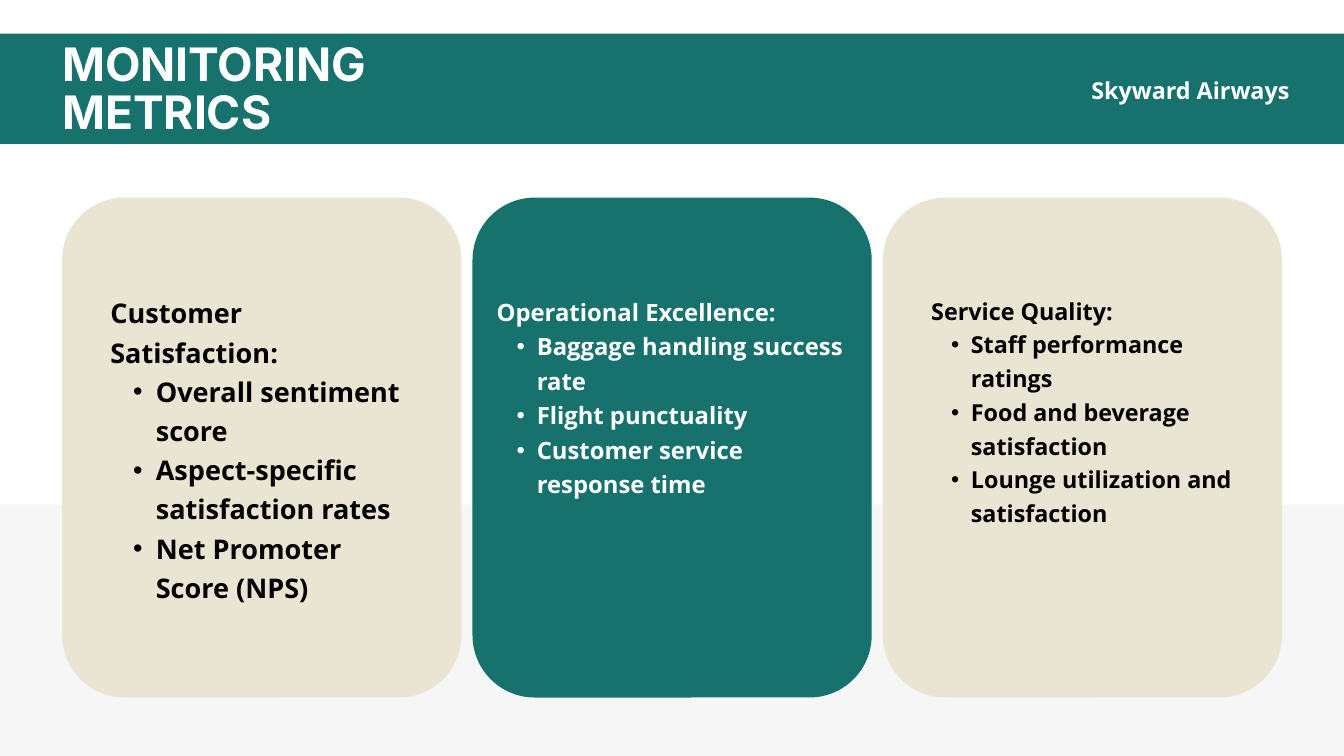
from dataclasses import dataclass

from lxml import etree
from pptx import Presentation
from pptx.dml.color import RGBColor
from pptx.enum import shapes, text
from pptx.oxml import ns
from pptx.util import Cm, Pt


@dataclass(frozen=True)
class Theme:
    teal: str = "17726D"
    sand: str = "EAE4D2"
    grey: str = "F6F6F6"
    white: str = "FFFFFF"
    black: str = "000000"
    heading_font: str = "Inter"
    body_font: str = "Open Sans"
    title_size: float = 49.4
    title_leading: float = 51.9
    name_size: float = 25
    name_leading: float = 35
    card_sizes: tuple = (29, 25.5, 25)
    card_leadings: tuple = (42, 37, 36.2)


THEME = Theme()


@dataclass(frozen=True)
class Box:
    """Left, top, width and height in centimetres."""
    left: float
    top: float
    width: float
    height: float

    def emu(self):
        return Cm(self.left), Cm(self.top), Cm(self.width), Cm(self.height)


@dataclass(frozen=True)
class Style:
    font: str
    size: float
    leading: float
    color: str


@dataclass(frozen=True)
class Card:
    fill: str
    color: str
    text_box: Box
    hang: float
    heading: str
    metrics: tuple


SLIDE_W, SLIDE_H = 50.8, 28.58
FLOOR_TOP = 19.08
CARD_LEFT, CARD_TOP, CARD_W, CARD_H = 2.35, 7.47, 15.09, 18.9
CARD_PITCH = 15.51
CARD_ROUNDING = 0.156

CARDS = (
    Card(THEME.sand, THEME.black, Box(4.17, 10.97, 11.43, 14.48), 0.86,
         "Customer Satisfaction:",
         ("Overall sentiment score", "Aspect-specific satisfaction rates",
          "Net Promoter Score (NPS)")),
    Card(THEME.teal, THEME.white, Box(18.77, 11.02, 13.26, 9.14), 0.76,
         "Operational Excellence:",
         ("Baggage handling success rate", "Flight punctuality",
          "Customer service response time")),
    Card(THEME.sand, THEME.black, Box(35.2, 11.0, 11.43, 10.21), 0.75,
         "Service Quality:",
         ("Staff performance ratings", "Food and beverage satisfaction",
          "Lounge utilization and satisfaction")),
)


def add_panel(s, box: Box, fill: str, kind=shapes.MSO_SHAPE.RECTANGLE):
    sp = s.shapes.add_shape(kind, *box.emu())
    sp.shadow.inherit = False
    sp.fill.solid()
    sp.fill.fore_color.rgb = RGBColor.from_string(fill)
    sp.line.fill.background()
    return sp


def add_text_frame(s, box: Box):
    """Add a wrapping text box without margins and return its frame."""
    tf = s.shapes.add_textbox(*box.emu()).text_frame
    tf.word_wrap = True
    tf.vertical_anchor = text.MSO_ANCHOR.TOP
    tf.margin_left = tf.margin_top = tf.margin_right = tf.margin_bottom = 0
    return tf


def write(p, words: str, style: Style) -> None:
    p.line_spacing = Pt(style.leading)
    r = p.add_run()
    r.text = words
    r.font.name = style.font
    r.font.size = Pt(style.size)
    r.font.bold = True
    r.font.color.rgb = RGBColor.from_string(style.color)


def add_bullet(p, hang: float, color: str) -> None:
    pPr = p._p.get_or_add_pPr()
    pPr.set("marL", str(Cm(2 * hang)))
    pPr.set("indent", str(-Cm(hang)))
    bu_color = etree.SubElement(pPr, ns.qn("a:buClr"))
    etree.SubElement(bu_color, ns.qn("a:srgbClr"), val=color)
    etree.SubElement(pPr, ns.qn("a:buFont"), typeface="Arial")
    etree.SubElement(pPr, ns.qn("a:buChar"), char="•")


def add_card(s, card: Card, index: int) -> None:
    box = Box(CARD_LEFT + index * CARD_PITCH, CARD_TOP, CARD_W, CARD_H)
    sp = add_panel(s, box, card.fill, shapes.MSO_SHAPE.ROUNDED_RECTANGLE)
    sp.adjustments[0] = CARD_ROUNDING
    style = Style(THEME.body_font, THEME.card_sizes[index],
                  THEME.card_leadings[index], card.color)
    tf = add_text_frame(s, card.text_box)
    write(tf.paragraphs[0], card.heading, style)
    for metric in card.metrics:
        p = tf.add_paragraph()
        p.level = 1
        add_bullet(p, card.hang, card.color)
        write(p, metric, style)


def add_header(s) -> None:
    add_panel(s, Box(0, 1.27, SLIDE_W, 4.17), THEME.teal)
    title = add_text_frame(s, Box(CARD_LEFT, 1.6, 15.52, 3.66))
    write(title.paragraphs[0], "MONITORING METRICS",
          Style(THEME.heading_font, THEME.title_size, THEME.title_leading, THEME.white))
    name = add_text_frame(s, Box(41.25, 2.69, 8.86, 1.24))
    write(name.paragraphs[0], "Skyward Airways",
          Style(THEME.body_font, THEME.name_size, THEME.name_leading, THEME.white))


def main() -> None:
    prs = Presentation()
    prs.slide_width, prs.slide_height = Cm(SLIDE_W), Cm(SLIDE_H)
    s = prs.slides.add_slide(prs.slide_layouts[6])
    add_panel(s, Box(0, FLOOR_TOP, SLIDE_W, SLIDE_H - FLOOR_TOP), THEME.grey)
    for index, card in enumerate(CARDS):
        add_card(s, card, index)
    add_header(s)
    prs.save("out.pptx")


if __name__ == "__main__":
    main()
